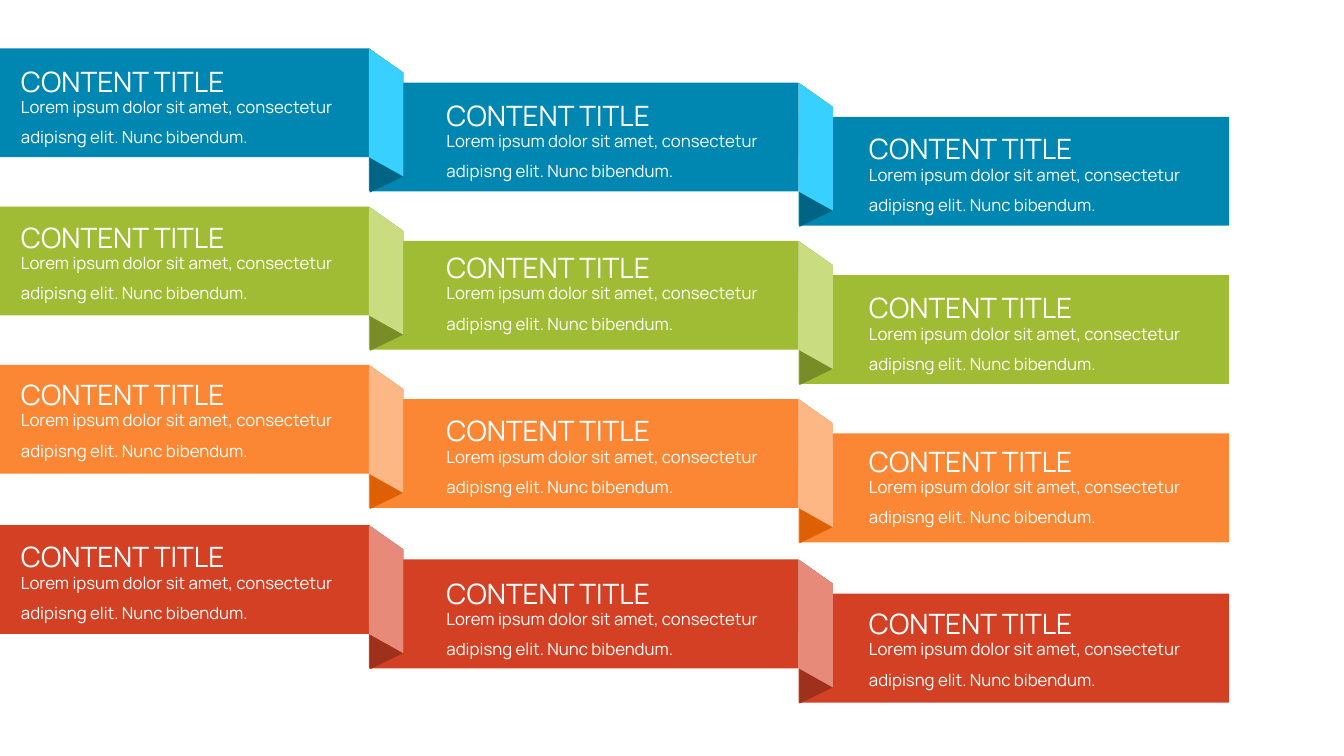
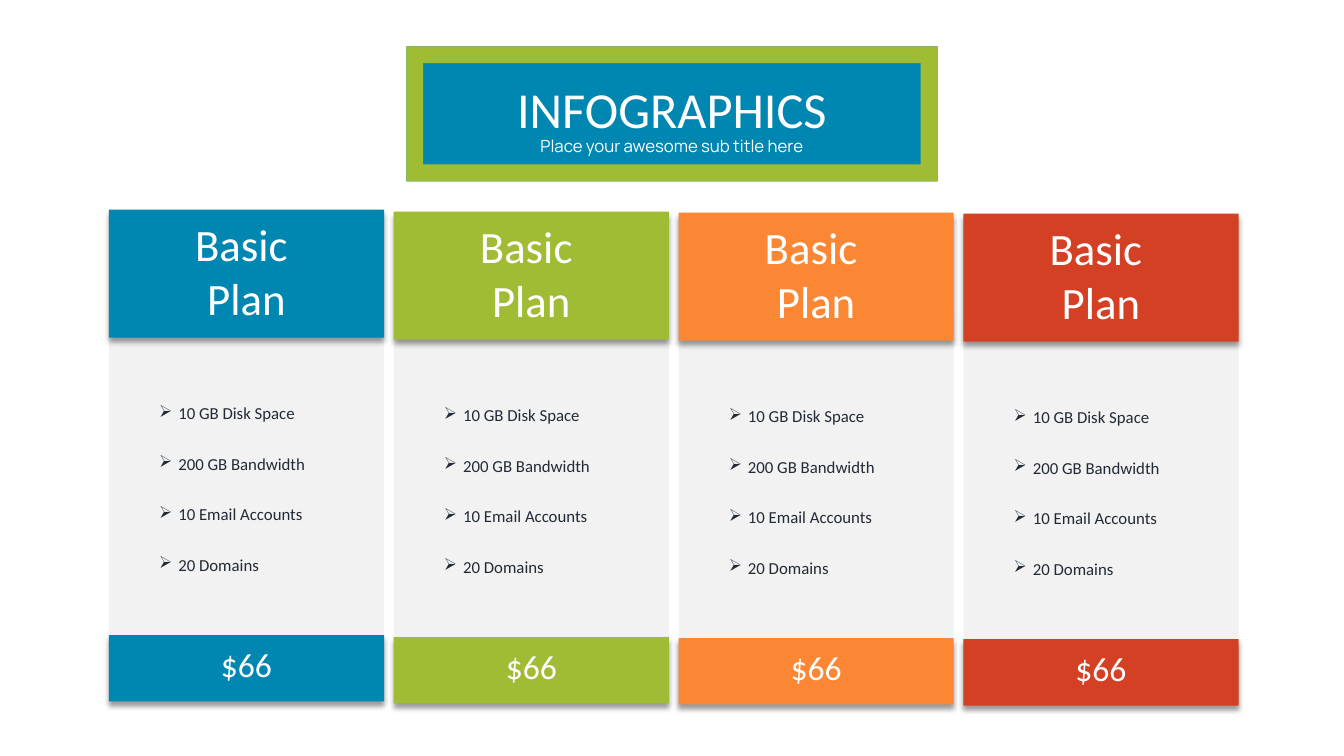
"""Build two infographic slides: folded ribbons and a four-plan price table."""
from lxml.etree import SubElement
from pptx import Presentation
from pptx.dml.color import RGBColor
from pptx.enum.shapes import MSO_SHAPE
from pptx.enum.text import MSO_AUTO_SIZE, PP_ALIGN
from pptx.oxml.ns import qn
from pptx.util import Emu, Inches, Pt

WHITE, PANEL, INK = "FFFFFF", "F2F2F2", "222A35"
BLUE, GREEN, ORANGE, RED = COLORS = "0087B1", "A0BC34", "FB8734", "D44024"
HEADING_FONT, PLAN_FONT = "Manrope", "Calibri"

RIBBON_TITLE = "CONTENT TITLE"
RIBBON_BODY = "Lorem ipsum dolor sit amet, consectetur adipisng elit. Nunc bibendum."
RIBBONS = [
    {"top": 0.48, "color": BLUE, "light": "37D0FF", "dark": "006585", "titles": (0.42, 0.76, 1.09)},
    {"top": 2.05, "color": GREEN, "light": "C9DC80", "dark": "788D27", "titles": (1.97, 2.27, 2.67)},
    {"top": 3.62, "color": ORANGE, "light": "FDB785", "dark": "DF6004", "titles": (3.53, 3.89, 4.19)},
    {"top": 5.21, "color": RED, "light": "E88A79", "dark": "9F301B", "titles": (5.14, 5.5, 5.8)},
]
BAND_EDGES = (0, 3.66, 7.92, 12.19)
TEXT_LEFTS = (0.11, 4.33, 8.52)
BAND_HEIGHT, BAND_DROP = 1.08, 0.34
LIGHT_FOLD = [(0, 0), (0.34, 0.24), (0.34, 1.27), (0, 1.08)]
DARK_FOLD = [(0, 0), (0.34, 0.24), (0.34, 1.27), (0.01, 1.43)]

PLAN_NAME = ["Basic ", "Plan"]
PLAN_PRICE = "$66"
PLAN_FEATURES = ["10 GB Disk Space", "200 GB Bandwidth", "10 Email Accounts", "20 Domains"]
PLAN_TOPS = (2.08, 2.1, 2.11, 2.12)
PLAN_LEFT, PLAN_PITCH, PLAN_WIDTH = 1.08, 2.825, 2.73
BANNER = (4.03, 0.46, 5.27, 1.34)


def paint(shape, color):
    shape.shadow.inherit = False
    shape.fill.solid()
    shape.fill.fore_color.rgb = RGBColor.from_string(color)
    shape.line.fill.background()


def add_block(slide, area, color, kind=MSO_SHAPE.RECTANGLE, shadow=False):
    block = slide.shapes.add_shape(kind, *map(Inches, area))
    paint(block, color)
    if shadow:
        effects = block._element.spPr.find(qn("a:effectLst"))
        outer = SubElement(effects, qn("a:outerShdw"), blurRad=str(Pt(4)), dist=str(Pt(3)),
                           dir="5400000", algn="t", rotWithShape="0")
        tint = SubElement(outer, qn("a:srgbClr"), val="000000")
        SubElement(tint, qn("a:alpha"), val="40000")


def add_fold(slide, left, top, outline, color):
    points = [(Inches(left + x), Inches(top + y)) for x, y in outline]
    builder = slide.shapes.build_freeform(*points[0], scale=1.0)
    builder.add_line_segments(points[1:], close=True)
    paint(builder.convert_to_shape(), color)


def add_text(slide, area, lines, size, font=PLAN_FONT, color=WHITE,
             align=PP_ALIGN.LEFT, spacing=None, bullet=None):
    box = slide.shapes.add_textbox(*map(Inches, area))
    frame = box.text_frame
    frame.word_wrap = True
    frame.auto_size = MSO_AUTO_SIZE.SHAPE_TO_FIT_TEXT
    for index, line in enumerate(lines):
        para = frame.add_paragraph() if index else frame.paragraphs[0]
        para.alignment = align
        if spacing:
            para.line_spacing = spacing
        if bullet:
            properties = para._p.get_or_add_pPr()
            indent = Inches(0.19)
            properties.set("marL", str(indent))
            properties.set("indent", str(Emu(-indent)))
            SubElement(properties, qn("a:buChar"), char=bullet)
        span = para.add_run()
        span.text = line
        span.font.size = Pt(size)
        span.font.name = font
        span.font.color.rgb = RGBColor.from_string(color)


def build_ribbons(slide):
    for ribbon in RIBBONS:
        tops = [ribbon["top"] + step * BAND_DROP for step in range(3)]
        bands = list(zip(BAND_EDGES, BAND_EDGES[1:], tops))
        for left, right, top in reversed(bands):
            add_block(slide, (left, top, right - left, BAND_HEIGHT), ribbon["color"])
        for left, top in zip(BAND_EDGES[1:3], tops):
            add_fold(slide, left, top, DARK_FOLD, ribbon["dark"])
            add_fold(slide, left, top, LIGHT_FOLD, ribbon["light"])
        for left, top in zip(TEXT_LEFTS, ribbon["titles"]):
            add_text(slide, (left, top + 0.39, 3.42, 0.71), [RIBBON_BODY], 12,
                     font=HEADING_FONT, spacing=1.5)
            add_text(slide, (left, top, 3.42, 0.61), [RIBBON_TITLE], 20,
                     font=HEADING_FONT, align=PP_ALIGN.JUSTIFY, spacing=1.5)


def build_plans(slide):
    center = PP_ALIGN.CENTER
    for column, (top, color) in enumerate(zip(PLAN_TOPS, COLORS)):
        left = PLAN_LEFT + column * PLAN_PITCH
        add_block(slide, (left, top + 1.05, PLAN_WIDTH, 3.17), PANEL)
        add_block(slide, (left, top, PLAN_WIDTH, 1.27), color, shadow=True)
        add_block(slide, (left, top + 4.22, PLAN_WIDTH, 0.66), color, shadow=True)
        add_text(slide, (left, top + 0.02, PLAN_WIDTH, 1.18), PLAN_NAME, 32, align=center)
        add_text(slide, (left, top + 4.26, PLAN_WIDTH, 0.5), [PLAN_PRICE], 24, align=center)
        add_text(slide, (left + 0.4, top + 1.57, 1.93, 2.12), PLAN_FEATURES, 12,
                 color=INK, spacing=2.5, bullet="➢")
    add_block(slide, BANNER, BLUE)
    add_block(slide, BANNER, GREEN, kind=MSO_SHAPE.FRAME)
    left, _, width, _ = BANNER
    add_text(slide, (left, 1.2, width, 0.4), ["Place your awesome sub title here"], 12,
             font=HEADING_FONT, align=center, spacing=1.5)
    add_text(slide, (left, 0.43, width, 1.01), ["INFOGRAPHICS"], 36, align=center, spacing=1.5)


def main():
    deck = Presentation()
    deck.slide_width, deck.slide_height = Inches(13.33), Inches(7.5)
    for build in (build_ribbons, build_plans):
        build(deck.slides.add_slide(deck.slide_layouts[6]))
    deck.save("out.pptx")


if __name__ == "__main__":
    main()
